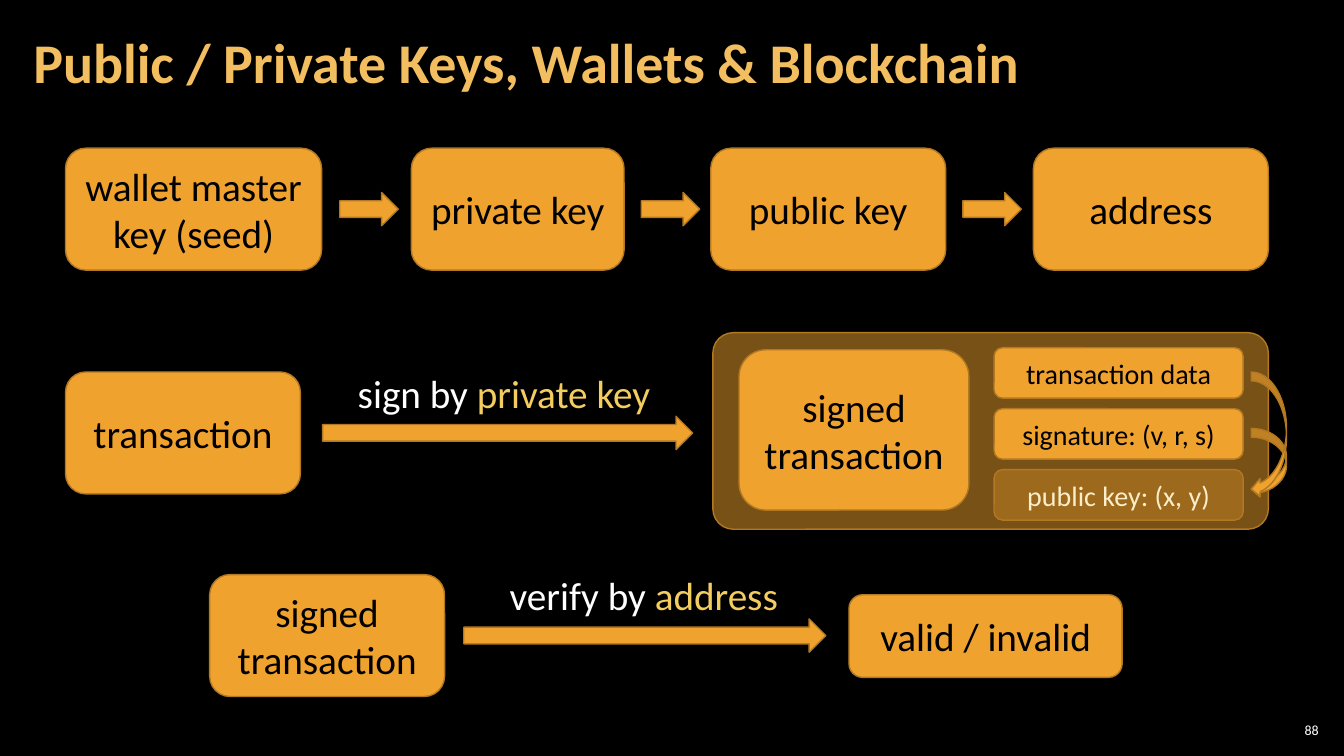
"""Build the slide on keys, wallets and signed transactions."""
from dataclasses import dataclass

from lxml import etree
from pptx import Presentation
from pptx import util as u
from pptx.dml.color import RGBColor
from pptx.enum import shapes, text
from pptx.oxml import ns

FONT = "Calibri"
BLACK = RGBColor(0x00, 0x00, 0x00)
WHITE = RGBColor(0xFF, 0xFF, 0xFF)
ORANGE = RGBColor(0xF0, 0xA2, 0x2E)
BROWN = RGBColor(0xB2, 0x78, 0x22)
TITLE_GOLD = RGBColor(0xF3, 0xBE, 0x60)
KEY_GOLD = RGBColor(0xF3, 0xCD, 0x60)
CREAM = RGBColor(0xFB, 0xEE, 0xC9)

KEY_TOP, CARD_HEIGHT, CARD_WIDTH = 1.47, 1.21, 2.33
ARROW_HEIGHT = 0.33
FIELD_TOP, FIELD_STEP = 3.45, 0.605


@dataclass
class Card:
    label: str
    left: float
    top: float
    width: float = CARD_WIDTH
    height: float = CARD_HEIGHT
    size: int = 28
    color: RGBColor = BLACK
    opacity: int = 100


@dataclass
class Arrow:
    left: float
    top: float
    width: float
    height: float = ARROW_HEIGHT
    kind: shapes.MSO_SHAPE = shapes.MSO_SHAPE.RIGHT_ARROW


@dataclass
class Label:
    lead: str
    key: str
    left: float
    top: float
    width: float
    align: text.PP_ALIGN


KEY_CARDS = [
    Card("wallet master key (seed)", 0.65, KEY_TOP, 2.54),
    Card("private key", 4.08, KEY_TOP, 2.11),
    Card("public key", 7.05, KEY_TOP),
    Card("address", 10.25, KEY_TOP),
]
KEY_ARROWS = [Arrow(left, 1.91, 0.58) for left in (3.37, 6.36, 9.55)]
STEP_CARDS = [
    Card("transaction", 0.65, 3.69),
    Card("signed transaction", 2.08, 5.7),
    Card("valid / invalid", 8.42, 5.9, 2.71, 0.82),
]
STEP_ARROWS = [Arrow(3.2, 4.13, 3.67), Arrow(4.6, 6.14, 3.59)]
STEP_LABELS = [
    Label("sign by ", "private key", 3.45, 3.61, 3.13, text.PP_ALIGN.LEFT),
    Label("verify by ", "address", 4.94, 5.62, 2.89, text.PP_ALIGN.CENTER),
]
PANEL = Card("", 7.07, 3.3, 5.51, 1.95, opacity=50)
SIGNED_CARD = Card("signed transaction", 7.33, 3.47, 2.28, 1.59)
FIELDS = [
    ("transaction data", BLACK, 100),
    ("signature: (v, r, s)", BLACK, 100),
    ("public key: (x, y)", CREAM, 30),
]
FIELD_CARDS = [
    Card(label, 9.86, FIELD_TOP + row * FIELD_STEP, 2.47, 0.5, 20, color, opacity)
    for row, (label, color, opacity) in enumerate(FIELDS)
]
RECOVERY_ARROWS = [
    Arrow(12.41, 4.94 - height, 0.35, height, shapes.MSO_SHAPE.CURVED_LEFT_ARROW)
    for height in (0.69, 1.25)
]


def add_span(para, words: str, size: float, color: RGBColor, bold: bool = False) -> None:
    """Append one formatted run to a paragraph."""
    span = para.add_run()
    span.text = words
    span.font.name = FONT
    span.font.size = u.Pt(size)
    span.font.bold = bold
    span.font.color.rgb = color


def set_margins(frame, side: float, edge: float) -> None:
    """Set the side and the top and bottom margins of a text frame."""
    frame.margin_left = frame.margin_right = u.Inches(side)
    frame.margin_top = frame.margin_bottom = u.Inches(edge)


def add_orange_shape(page, kind, left: float, top: float, width: float, height: float,
                     opacity: int = 100):
    """Draw an orange preset shape with a brown outline."""
    box = page.shapes.add_shape(
        kind, u.Inches(left), u.Inches(top), u.Inches(width), u.Inches(height))
    box.shadow.inherit = False
    box.fill.solid()
    box.fill.fore_color.rgb = ORANGE
    box.line.color.rgb = BROWN
    box.line.width = u.Pt(1)
    if opacity < 100:
        color = box.fill._xPr.find(ns.qn("a:solidFill")).find(ns.qn("a:srgbClr"))
        etree.SubElement(color, ns.qn("a:alpha")).set("val", str(opacity * 1000))
    return box


def add_card(page, card: Card):
    """Draw a rounded card with its centred label."""
    box = add_orange_shape(page, shapes.MSO_SHAPE.ROUNDED_RECTANGLE, card.left, card.top,
                           card.width, card.height, card.opacity)
    if card.label:
        frame = box.text_frame
        frame.word_wrap = True
        frame.vertical_anchor = text.MSO_ANCHOR.MIDDLE
        para = frame.paragraphs[0]
        para.alignment = text.PP_ALIGN.CENTER
        add_span(para, card.label, card.size, card.color)
    return box


def add_arrow(page, arrow: Arrow) -> None:
    """Draw a block arrow."""
    add_orange_shape(page, arrow.kind, arrow.left, arrow.top, arrow.width, arrow.height)


def add_label(page, label: Label) -> None:
    """Write a step label whose key word is gold."""
    box = page.shapes.add_textbox(
        u.Inches(label.left), u.Inches(label.top), u.Inches(label.width), u.Inches(0.57))
    frame = box.text_frame
    frame.word_wrap = False
    frame.auto_size = text.MSO_AUTO_SIZE.SHAPE_TO_FIT_TEXT
    para = frame.paragraphs[0]
    para.alignment = label.align
    add_span(para, label.lead, 28, WHITE)
    add_span(para, label.key, 28, KEY_GOLD)


def add_title(page, words: str) -> None:
    """Place and format the slide title."""
    title = page.shapes.title
    title.left, title.top = u.Inches(0.21), u.Inches(0.04)
    title.width, title.height = u.Inches(10.47), u.Inches(1.21)
    frame = title.text_frame
    frame.word_wrap = True
    frame.auto_size = text.MSO_AUTO_SIZE.NONE
    frame.vertical_anchor = text.MSO_ANCHOR.MIDDLE
    set_margins(frame, 0.12, 0.04)
    para = frame.paragraphs[0]
    para.alignment = text.PP_ALIGN.LEFT
    para.line_spacing = 0.9
    add_span(para, words, 40, TITLE_GOLD, bold=True)


def add_page_number(page, number: str) -> None:
    """Write the page number in the lower right corner."""
    box = page.shapes.add_textbox(
        u.Inches(12.65), u.Inches(7.14), u.Inches(0.47), u.Inches(0.21))
    frame = box.text_frame
    frame.word_wrap = True
    frame.vertical_anchor = text.MSO_ANCHOR.MIDDLE
    set_margins(frame, 0.04, 0.04)
    para = frame.paragraphs[0]
    para.alignment = text.PP_ALIGN.RIGHT
    add_span(para, number, 10, WHITE)


def main() -> None:
    """Build and save the deck."""
    deck = Presentation()
    deck.slide_width, deck.slide_height = u.Inches(13.33), u.Inches(7.5)
    page = deck.slides.add_slide(deck.slide_layouts.get_by_name("Title Only"))
    page.background.fill.solid()
    page.background.fill.fore_color.rgb = BLACK
    add_title(page, "Public / Private Keys, Wallets & Blockchain")
    panel = add_card(page, PANEL)
    panel.adjustments[0] = 0.104
    for card in KEY_CARDS + STEP_CARDS + [SIGNED_CARD] + FIELD_CARDS:
        add_card(page, card)
    for arrow in KEY_ARROWS + STEP_ARROWS + RECOVERY_ARROWS:
        add_arrow(page, arrow)
    for label in STEP_LABELS:
        add_label(page, label)
    add_page_number(page, "88")
    deck.save("out.pptx")


if __name__ == "__main__":
    main()
